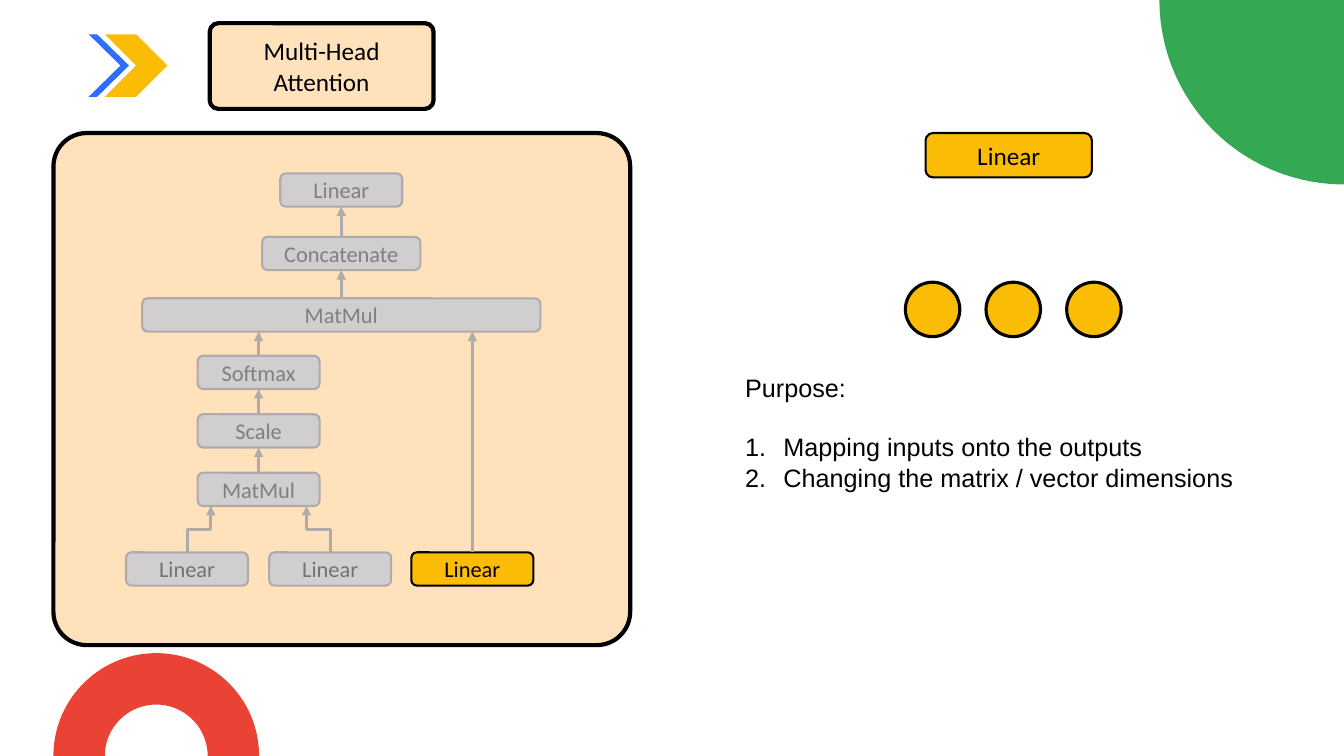
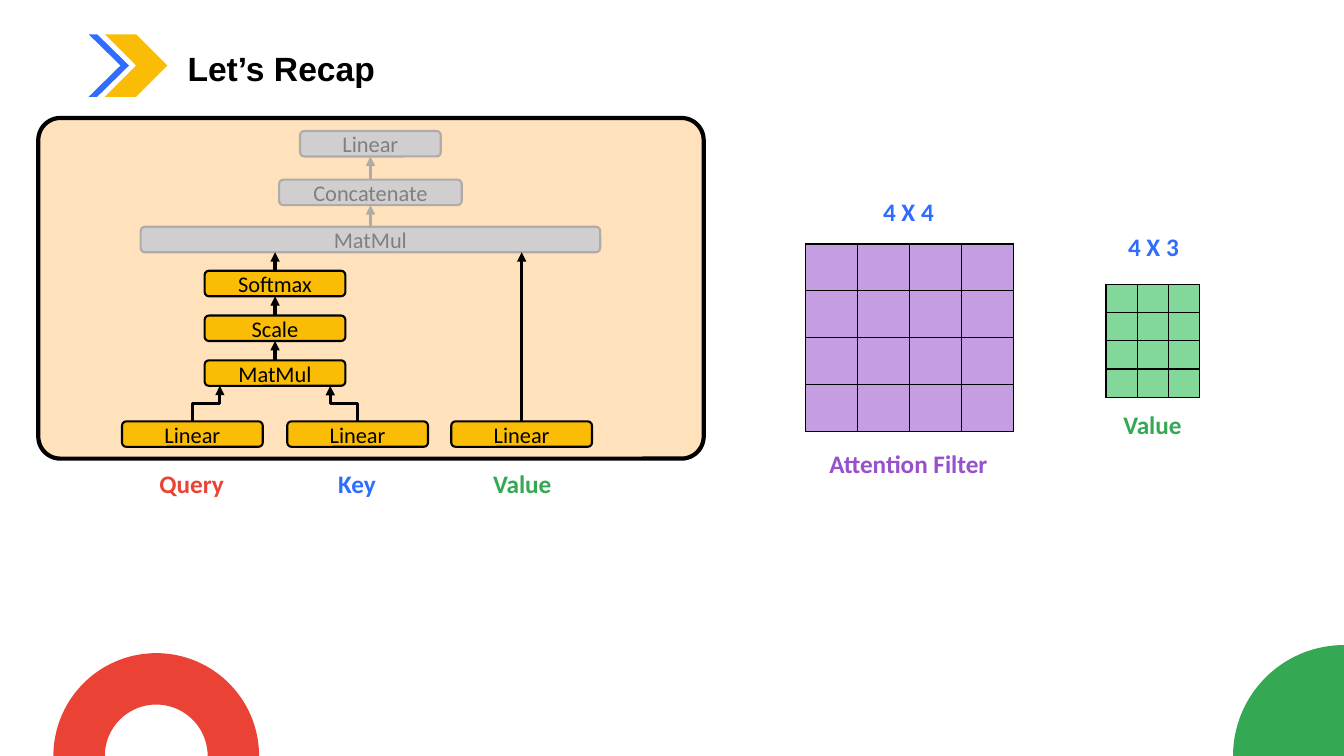
from dataclasses import dataclass
from math import cos, pi, sin
from typing import Any, Optional

from lxml.etree import SubElement
from pptx import Presentation
from pptx.dml.color import RGBColor
from pptx.enum.shapes import MSO_CONNECTOR, MSO_SHAPE
from pptx.enum.text import MSO_ANCHOR, MSO_AUTO_SIZE, PP_ALIGN
from pptx.oxml.ns import qn
from pptx.util import Emu, Pt

# Scale: 100 px to the inch
EMU_PER_PX = 9144
SLIDE_WIDTH, SLIDE_HEIGHT = 1333, 750

# Palette
BLACK, BLUE, RED = "000000", "2F6DFF", "EA4335"
YELLOW, GREEN, PEACH = "FBBC05", "34A853", "FFE2BB"
PURPLE, LILAC, MINT = "9751CB", "C59EE2", "82D899"
MUTED_FILL, MUTED_LINE, MUTED_TEXT = "D0CECE", "AFABAB", "808080"

Box = tuple[float, float, float, float]


@dataclass(frozen=True)
class Stage:
    """One block of the attention diagram, offset from panel and first row."""
    text: str
    left: int
    top: int
    width: int = 121
    muted_text: str = MUTED_TEXT

    @property
    def center(self) -> float:
        return self.left + self.width / 2


@dataclass(frozen=True)
class Arrow:
    source: str
    target: str
    target_x: Optional[float] = None


@dataclass(frozen=True)
class Diagram:
    panel: Box
    first_row: int
    y_scale: float
    active: frozenset[str]
    arrows_lit: bool


@dataclass(frozen=True)
class Caption:
    text: str
    center: int
    top: int
    color: str


@dataclass(frozen=True)
class Matrix:
    box: Box
    rows: int
    columns: int
    color: str


STAGE_HEIGHT = 33
BASE_PANEL_WIDTH = 572
STAGES = {
    "query": Stage("Linear", 72, 376, muted_text="767171"),
    "key": Stage("Linear", 214, 376, muted_text="767171"),
    "value": Stage("Linear", 355, 376),
    "scores": Stage("MatMul", 143, 297),
    "scale": Stage("Scale", 143, 239),
    "softmax": Stage("Softmax", 143, 181),
    "mix": Stage("MatMul", 88, 124, 395),
    "concat": Stage("Concatenate", 207, 63, 157),
    "output": Stage("Linear", 225, 0),
}
ARROWS = [
    Arrow("value", "mix"),
    Arrow("key", "scores", 251),
    Arrow("query", "scores", 156),
    Arrow("scores", "scale"),
    Arrow("scale", "softmax"),
    Arrow("softmax", "mix"),
    Arrow("mix", "concat"),
    Arrow("concat", "output"),
]
VALUE_FOCUS = Diagram((53, 132, 572, 508), 172, 1, frozenset({"value"}), False)
RECAP = Diagram((38, 117, 660, 338), 130, 0.766,
                frozenset(STAGES) - {"mix", "concat", "output"}, True)

CAPTION_WIDTH, CAPTION_HEIGHT = 192, 40
CAPTIONS = [
    Caption("Query", 190, 460, RED),
    Caption("Key", 354, 460, BLUE),
    Caption("Value", 518, 460, GREEN),
    Caption("Value", 1143, 401, GREEN),
    Caption("Attention Filter", 901, 440, PURPLE),
    Caption("4 X 3", 1144, 225, BLUE),
    Caption("4 X 4", 901, 190, BLUE),
]
MATRICES = [
    Matrix((1097, 282, 93, 112), 4, 3, MINT),
    Matrix((799, 242, 206, 186), 4, 4, LILAC),
]


# Shared helpers
def px(length: float) -> Emu:
    return Emu(round(length * EMU_PER_PX))


def rgb(color: str) -> RGBColor:
    return RGBColor.from_string(color)


def style_paragraph(para: Any, size: float, font: str, color: str = BLACK,
                    bold: bool = False, align: Any = PP_ALIGN.LEFT) -> None:
    para.alignment = align
    para.font.size = Pt(size)
    para.font.name = font
    para.font.bold = bold
    para.font.color.rgb = rgb(color)


def write(shape: Any, text: str, size: float, font: str, **style: Any) -> None:
    shape.text_frame.text = text
    style_paragraph(shape.text_frame.paragraphs[0], size, font, **style)


def add_shape(shapes: Any, kind: Any, box: Box, fill: str, line: str = "",
              line_width: float = 1.5, corner: Optional[float] = None) -> Any:
    shape = shapes.add_shape(kind, *map(px, box))
    shape.shadow.inherit = False
    shape.fill.solid()
    shape.fill.fore_color.rgb = rgb(fill)
    if line:
        shape.line.color.rgb = rgb(line)
        shape.line.width = Pt(line_width)
    else:
        shape.line.fill.background()
    if corner is not None:
        shape.adjustments[0] = corner
    return shape


def add_block(shapes: Any, box: Box, text: str, size: float, fill: str = YELLOW,
              line: str = BLACK, color: str = BLACK) -> None:
    block = add_shape(shapes, MSO_SHAPE.ROUNDED_RECTANGLE, box, fill, line)
    block.text_frame.vertical_anchor = MSO_ANCHOR.MIDDLE
    write(block, text, size, "Calibri", color=color, align=PP_ALIGN.CENTER)


def place(placeholder: Any, box: Box, anchor: Any) -> None:
    placeholder.left, placeholder.top, placeholder.width, placeholder.height = map(px, box)
    frame = placeholder.text_frame
    frame.word_wrap = True
    frame.auto_size = MSO_AUTO_SIZE.NONE
    frame.vertical_anchor = anchor


def add_quarter_disc(page: Any, center_y: int, radius: int, start: float) -> None:
    """Fill a quarter turn around a right-hand slide corner."""
    steps = 60
    angles = [start + pi / 2 * step / steps for step in range(steps + 1)]
    arc = [(px(SLIDE_WIDTH + radius * cos(angle)), px(center_y + radius * sin(angle)))
           for angle in angles]
    builder = page.shapes.build_freeform(px(SLIDE_WIDTH), px(center_y))
    builder.add_line_segments(arc, close=True)
    disc = builder.convert_to_shape()
    disc.shadow.inherit = False
    disc.fill.solid()
    disc.fill.fore_color.rgb = rgb(GREEN)
    disc.line.fill.background()


def decorate(page: Any) -> None:
    chevrons = page.shapes.add_group_shape().shapes
    add_shape(chevrons, MSO_SHAPE.CHEVRON, (104, 34, 62, 62), YELLOW)
    add_shape(chevrons, MSO_SHAPE.CHEVRON, (88, 34, 40, 62), BLUE, corner=0.79)
    add_shape(page.shapes, MSO_SHAPE.BLOCK_ARC, (53, 648, 204, 204), RED)


# Attention diagram
def add_arrow(shapes: Any, start: tuple[float, float], end: tuple[float, float],
              color: str) -> None:
    (x1, y1), (x2, y2) = start, end
    if x1 == x2:
        arrow = shapes.add_connector(MSO_CONNECTOR.STRAIGHT, *map(px, (x1, y1, x2, y2)))
    else:
        # A quarter turn makes the elbow leave vertically
        x, y = (x1 + x2) / 2, (y1 + y2) / 2
        run, side = (y1 - y2) / 2, (x2 - x1) / 2
        arrow = shapes.add_connector(
            MSO_CONNECTOR.ELBOW, *map(px, (x + run, y + side, x - run, y - side)))
        arrow.rotation = 90
    arrow.line.color.rgb = rgb(color)
    arrow.line.width = Pt(2.25)
    SubElement(arrow.line._get_or_add_ln(), qn("a:tailEnd"), type="triangle")
    SubElement(arrow.element.spPr, qn("a:effectLst"))


def add_diagram(page: Any, diagram: Diagram) -> None:
    shapes = page.shapes.add_group_shape().shapes
    add_shape(shapes, MSO_SHAPE.ROUNDED_RECTANGLE, diagram.panel, PEACH, BLACK, 3, 0.065)
    panel_left, _, panel_width, _ = diagram.panel
    x_scale = panel_width / BASE_PANEL_WIDTH

    def at_x(offset: float) -> float:
        return panel_left + offset * x_scale

    def at_y(offset: float) -> float:
        return diagram.first_row + offset * diagram.y_scale

    for name, stage in STAGES.items():
        box = (at_x(stage.left), at_y(stage.top),
               stage.width * x_scale, STAGE_HEIGHT * diagram.y_scale)
        if name in diagram.active:
            add_block(shapes, box, stage.text, 16)
        else:
            add_block(shapes, box, stage.text, 16, MUTED_FILL, MUTED_LINE, stage.muted_text)

    for arrow in ARROWS:
        source, target = STAGES[arrow.source], STAGES[arrow.target]
        target_x = source.center if arrow.target_x is None else arrow.target_x
        lit = diagram.arrows_lit and arrow.source in diagram.active
        add_arrow(shapes, (at_x(source.center), at_y(source.top)),
                  (at_x(target_x), at_y(target.top + STAGE_HEIGHT)),
                  BLACK if lit else MUTED_LINE)


# Matrices and captions
def add_matrix(page: Any, matrix: Matrix) -> None:
    frame = page.shapes.add_table(matrix.rows, matrix.columns, *map(px, matrix.box))
    table = frame.table
    table.first_row = table.horz_banding = False
    for column in table.columns:
        column.width = px(matrix.box[2] / matrix.columns)
    for row in table.rows:
        row.height = px(matrix.box[3] / matrix.rows)
    for cell in table.iter_cells():
        cell.margin_left = cell.margin_right = cell.margin_top = cell.margin_bottom = 0
        SubElement(cell.text_frame.paragraphs[0]._p, qn("a:endParaRPr"), sz="800")
        properties = cell._tc.get_or_add_tcPr()
        for side in ("lnL", "lnR", "lnT", "lnB"):
            border = SubElement(properties, qn(f"a:{side}"), w=str(Pt(1)))
            SubElement(SubElement(border, qn("a:solidFill")), qn("a:srgbClr"), val=BLACK)
        cell.fill.solid()
        cell.fill.fore_color.rgb = rgb(matrix.color)


def add_caption(page: Any, caption: Caption) -> None:
    left = caption.center - CAPTION_WIDTH / 2
    box = page.shapes.add_textbox(*map(px, (left, caption.top, CAPTION_WIDTH, CAPTION_HEIGHT)))
    box.text_frame.word_wrap = True
    write(box, caption.text, 18, "Calibri", color=caption.color, bold=True,
          align=PP_ALIGN.CENTER)


def fill_purpose(body: Any) -> None:
    place(body, (729, 364, 551, 131), MSO_ANCHOR.TOP)
    lines = ["Purpose:", "Mapping inputs onto the outputs",
             "Changing the matrix / vector dimensions"]
    body.text_frame.text = "\n".join(lines)
    for index, para in enumerate(body.text_frame.paragraphs):
        para.space_before = Pt(21 if index == 1 else 0)
        properties = para._p.get_or_add_pPr()
        indent = px(38) if index else 0
        properties.set("marL", str(indent))
        properties.set("indent", str(-indent))
        if index:
            SubElement(properties, qn("a:buFont"), typeface="+mj-lt")
            SubElement(properties, qn("a:buAutoNum"), type="arabicPeriod")
        else:
            SubElement(properties, qn("a:buNone"))
        style_paragraph(para, 18, "Arial")


# Slides
def build_linear_slide(deck: Any) -> None:
    page = deck.slides.add_slide(deck.slide_layouts[1])
    add_quarter_disc(page, 0, 183, pi / 2)
    decorate(page)

    title_box = (208, 23, 222, 85)
    card = add_shape(page.shapes, MSO_SHAPE.ROUNDED_RECTANGLE, title_box, PEACH, BLACK, 3, 0.1)
    title = page.shapes.title
    card.element.addnext(title.element)
    place(title, title_box, MSO_ANCHOR.MIDDLE)
    write(title, "Multi-Head Attention", 18, "Calibri", align=PP_ALIGN.CENTER)

    add_block(page.shapes, (918, 132, 165, 44), "Linear", 18)
    for index in range(3):
        add_shape(page.shapes, MSO_SHAPE.OVAL, (898 + 80 * index, 280, 54, 54),
                  YELLOW, BLACK, 2.25)
    fill_purpose(page.placeholders[1])
    add_diagram(page, VALUE_FOCUS)


def build_recap_slide(deck: Any) -> None:
    page = deck.slides.add_slide(deck.slide_layouts[5])
    place(page.shapes.title, (176, 43, 686, 50), MSO_ANCHOR.MIDDLE)
    write(page.shapes.title, "Let’s Recap", 24, "Arial", bold=True)
    decorate(page)
    add_quarter_disc(page, SLIDE_HEIGHT, 110, pi)
    add_diagram(page, RECAP)
    for matrix in MATRICES:
        add_matrix(page, matrix)
    for caption in CAPTIONS:
        add_caption(page, caption)


def main() -> None:
    deck = Presentation()
    deck.slide_width, deck.slide_height = px(SLIDE_WIDTH), px(SLIDE_HEIGHT)
    build_linear_slide(deck)
    build_recap_slide(deck)
    deck.save("out.pptx")


if __name__ == "__main__":
    main()
